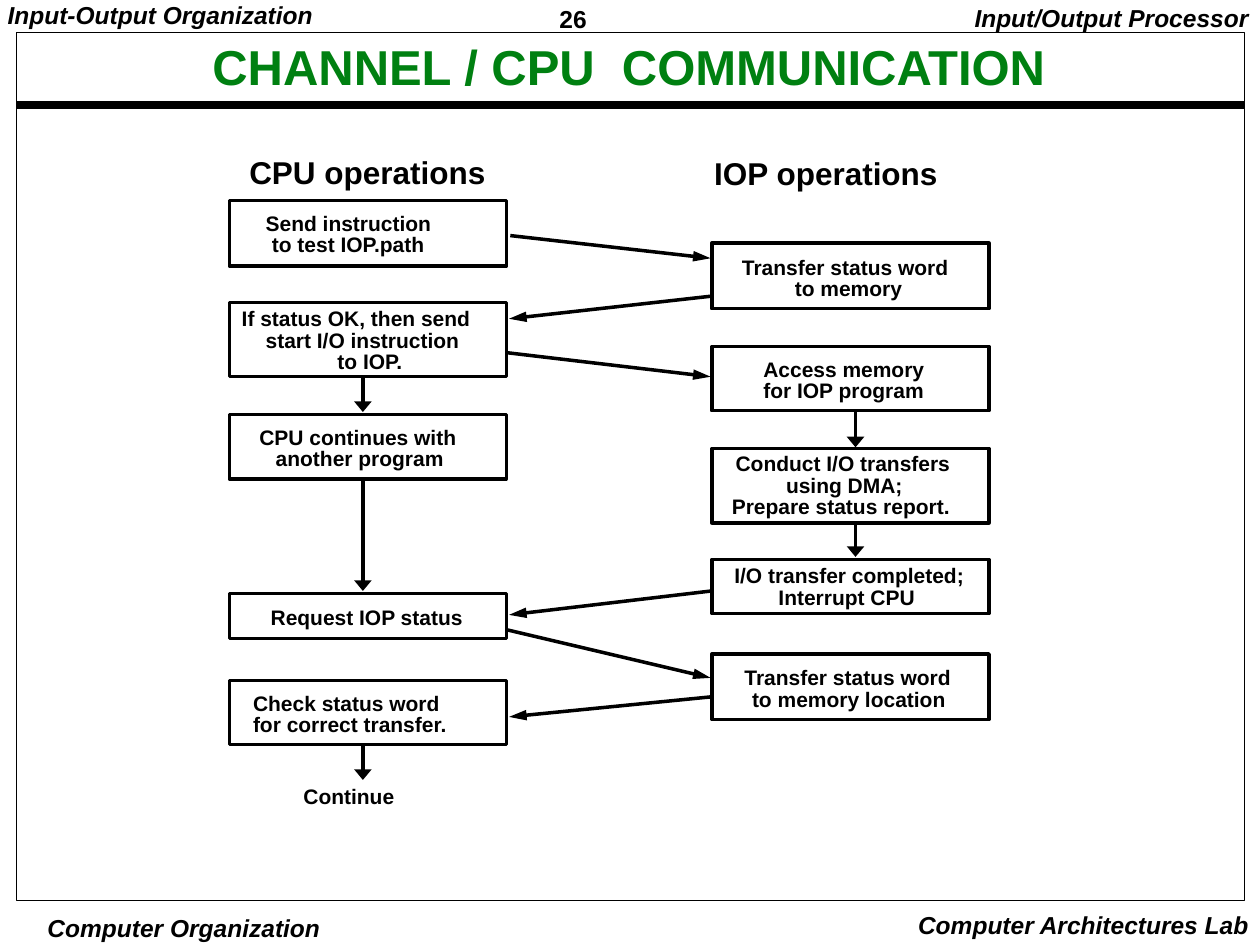
"""Build the slide on the exchange between a channel and the CPU."""
from dataclasses import dataclass

from lxml import etree
from pptx import Presentation
from pptx.dml.color import RGBColor
from pptx.enum.shapes import MSO_CONNECTOR, MSO_SHAPE
from pptx.enum.text import MSO_ANCHOR, MSO_AUTO_SIZE, PP_ALIGN
from pptx.oxml.ns import qn
from pptx.slide import Slide
from pptx.util import Inches, Pt

LEFT, CENTER, RIGHT = PP_ALIGN.LEFT, PP_ALIGN.CENTER, PP_ALIGN.RIGHT
TOP, MIDDLE = MSO_ANCHOR.TOP, MSO_ANCHOR.MIDDLE
FIT_SHAPE = MSO_AUTO_SIZE.SHAPE_TO_FIT_TEXT
RECTANGLE = MSO_SHAPE.RECTANGLE
STRAIGHT = MSO_CONNECTOR.STRAIGHT


@dataclass(frozen=True)
class Theme:
    font: str = "Arial"
    ink: RGBColor = RGBColor(0, 0, 0)
    title_color: RGBColor = RGBColor(0x00, 0x80, 0x11)
    title: float = 28
    heading: float = 18
    margin_note: float = 14
    step: float = 12
    frame_line: float = 0.5
    step_line: float = 2
    rule_line: float = 4.5


THEME = Theme()
CPU_LEFT, IOP_LEFT = 1.82, 5.65
STEP_WIDTH = 2.2
LINE_HEIGHT, LINE_PITCH = 0.28, 0.17
WIDTH_SLACK = 0.04
SLACK_SHARE = {LEFT: 0, CENTER: 0.5, RIGHT: 1}
CPU_AXIS, IOP_AXIS = 2.88, 6.79
CPU_EDGE, CPU_TIP = 4.03, 4.04
IOP_EDGE, IOP_TIP = 5.65, 5.64


@dataclass(frozen=True)
class Label:
    text: str
    left: float
    top: float
    width: float
    height: float
    size: float
    color: RGBColor = THEME.ink
    italic: bool = False
    align: PP_ALIGN = LEFT
    anchor: MSO_ANCHOR = TOP
    inset: tuple[float, float] = (0.1, 0.05)
    spacing: float = 0.9
    wrap: bool = False


@dataclass(frozen=True)
class Line:
    text: str
    left: float
    width: float


@dataclass(frozen=True)
class Step:
    left: float
    top: float
    height: float
    text_top: float
    lines: tuple[Line, ...]


@dataclass(frozen=True)
class Arrow:
    start_x: float
    start_y: float
    end_x: float
    end_y: float


LABELS = (
    Label("26", 4.37, 0, 1.08, 0.29, THEME.margin_note, inset=(0.07, 0.03), spacing=1.01),
    Label("Input-Output Organization", -0.01, 0, 2.57, 0.27, THEME.margin_note,
          italic=True, inset=(0.07, 0.03)),
    Label("Input/Output Processor", 7.63, 0, 2.38, 0.31, THEME.margin_note,
          italic=True, align=RIGHT),
    Label("Computer Organization", 0.35, 7.24, 2.22, 0.26, THEME.margin_note,
          italic=True, align=CENTER, inset=(0.03, 0.01), spacing=1.0),
    Label("Computer Architectures Lab", 7.18, 7.17, 2.83, 0.33, THEME.margin_note,
          italic=True, align=RIGHT, spacing=1.0),
    Label("CHANNEL / CPU  COMMUNICATION", 0.19, 0.2, 9.6, 0.7, THEME.title,
          THEME.title_color, align=CENTER, anchor=MIDDLE, inset=(0.07, 0.03), wrap=True),
    Label("CPU operations", 1.88, 1.2, 2.07, 0.37, THEME.heading),
    Label("IOP operations", 5.57, 1.21, 1.98, 0.37, THEME.heading),
    Label("Continue", 2.31, 6.19, 0.92, LINE_HEIGHT, THEME.step),
)

STEPS = (
    Step(CPU_LEFT, 1.59, 0.52, 1.64, (
        Line("Send instruction", 2.01, 1.51), Line("to test IOP.path", 2.06, 1.43))),
    Step(CPU_LEFT, 2.4, 0.59, 2.4, (
        Line("If status OK, then send", 1.82, 2.01),
        Line("start I/O instruction", 2.01, 1.74),
        Line("to IOP.", 2.58, 0.74))),
    Step(CPU_LEFT, 3.29, 0.51, 3.34, (
        Line("CPU continues with", 1.96, 1.76), Line("another program", 2.09, 1.53))),
    Step(CPU_LEFT, 4.71, 0.36, 4.77, (Line("Request IOP status", 2.05, 1.73),)),
    Step(CPU_LEFT, 5.4, 0.51, 5.45, (
        Line("Check status word", 1.91, 1.68), Line("for correct transfer.", 1.91, 1.75))),
    Step(IOP_LEFT, 1.93, 0.52, 1.99, (
        Line("Transfer status word", 5.79, 1.85), Line("to memory", 6.21, 1.05))),
    Step(IOP_LEFT, 2.75, 0.51, 2.8, (
        Line("Access memory", 5.96, 1.48), Line("for IOP program", 5.96, 1.48))),
    Step(IOP_LEFT, 3.56, 0.59, 3.55, (
        Line("Conduct I/O transfers", 5.74, 1.9),
        Line("using DMA;", 6.14, 1.12),
        Line("Prepare status report.", 5.71, 1.93))),
    Step(IOP_LEFT, 4.44, 0.43, 4.44, (
        Line("I/O transfer completed;", 5.73, 2.02), Line("Interrupt CPU", 6.08, 1.28))),
    Step(IOP_LEFT, 5.19, 0.52, 5.25, (
        Line("Transfer status word", 5.81, 1.85), Line("to memory location", 5.87, 1.74))),
)

ARROWS = (
    Arrow(4.05, 1.87, IOP_TIP, 2.05),
    Arrow(IOP_EDGE, 2.35, CPU_TIP, 2.53),
    Arrow(CPU_EDGE, 2.8, IOP_TIP, 2.99),
    Arrow(IOP_EDGE, 4.69, CPU_TIP, 4.88),
    Arrow(CPU_EDGE, 5, IOP_TIP, 5.38),
    Arrow(IOP_EDGE, 5.53, CPU_TIP, 5.69),
    Arrow(CPU_AXIS, 2.99, CPU_AXIS, 3.27),
    Arrow(CPU_AXIS, 3.8, CPU_AXIS, 4.69),
    Arrow(CPU_AXIS, 5.92, CPU_AXIS, 6.19),
    Arrow(IOP_AXIS, 3.27, IOP_AXIS, 3.55),
    Arrow(IOP_AXIS, 4.15, IOP_AXIS, 4.42),
)


def draw_label(page: Slide, label: Label) -> None:
    left = label.left - WIDTH_SLACK * SLACK_SHARE[label.align]
    box = page.shapes.add_textbox(Inches(left), Inches(label.top),
                                  Inches(label.width + WIDTH_SLACK), Inches(label.height))
    frame = box.text_frame
    frame.word_wrap = label.wrap
    frame.auto_size = FIT_SHAPE
    frame.vertical_anchor = label.anchor
    frame.margin_left = frame.margin_right = Inches(label.inset[0])
    frame.margin_top = frame.margin_bottom = Inches(label.inset[1])
    para = frame.paragraphs[0]
    para.text = label.text
    para.alignment = label.align
    para.line_spacing = label.spacing
    para.font.name = THEME.font
    para.font.size = Pt(label.size)
    para.font.bold = True
    para.font.italic = label.italic
    para.font.color.rgb = label.color


def draw_outline(page: Slide, left: float, top: float, width: float, height: float,
                 weight: float) -> None:
    box = page.shapes.add_shape(RECTANGLE, Inches(left), Inches(top),
                                Inches(width), Inches(height))
    box.shadow.inherit = False
    box.fill.background()
    box.line.color.rgb = THEME.ink
    box.line.width = Pt(weight)


def draw_step(page: Slide, step: Step) -> None:
    draw_outline(page, step.left, step.top, STEP_WIDTH, step.height, THEME.step_line)
    for row, line in enumerate(step.lines):
        draw_label(page, Label(line.text, line.left, step.text_top + row * LINE_PITCH,
                               line.width, LINE_HEIGHT, THEME.step))


def draw_line(page: Slide, course: Arrow, weight: float, head: bool = True) -> None:
    line = page.shapes.add_connector(STRAIGHT, Inches(course.start_x), Inches(course.start_y),
                                     Inches(course.end_x), Inches(course.end_y))
    line.line.color.rgb = THEME.ink
    line.line.width = Pt(weight)
    if head:
        upright = course.start_x == course.end_x
        breadth, length = ("lg", "med") if upright else ("med", "lg")
        etree.SubElement(line.line._get_or_add_ln(), qn("a:tailEnd"),
                         type="triangle", w=breadth, len=length)
    etree.SubElement(line._element.spPr, qn("a:effectLst"))


def main() -> None:
    deck = Presentation()
    deck.slide_width, deck.slide_height = Inches(10), Inches(7.5)
    page = deck.slides.add_slide(deck.slide_layouts[6])
    draw_line(page, Arrow(0.13, 0.83, 9.87, 0.83), THEME.rule_line, head=False)
    draw_outline(page, 0.13, 0.26, 9.75, 6.89, THEME.frame_line)
    for label in LABELS:
        draw_label(page, label)
    for step in STEPS:
        draw_step(page, step)
    for arrow in ARROWS:
        draw_line(page, arrow, THEME.step_line)
    deck.save("out.pptx")


if __name__ == "__main__":
    main()
